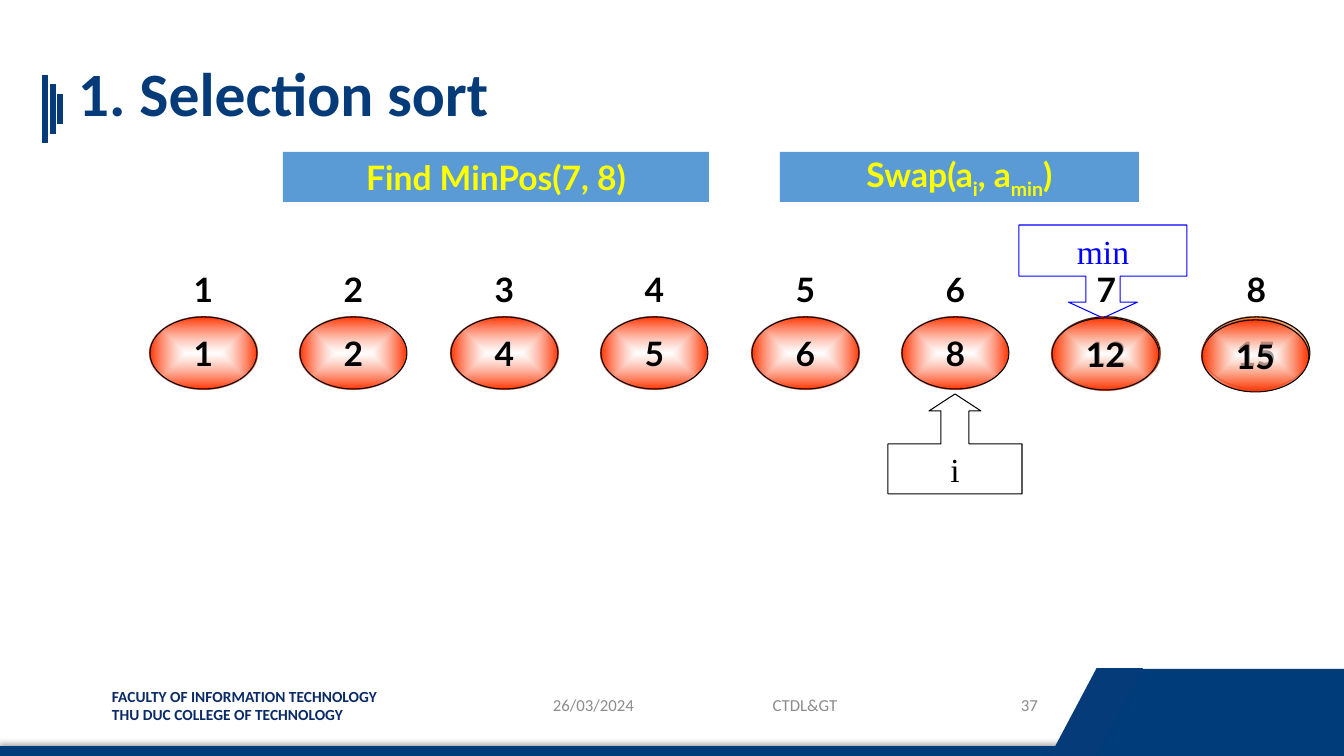
from pptx import Presentation
from pptx.dml.color import RGBColor
from pptx.enum.shapes import MSO_CONNECTOR as Connector, MSO_SHAPE as Shape
from pptx.enum.text import MSO_ANCHOR as Anchor, PP_ALIGN as Align
from pptx.oxml import parse_xml
from pptx.oxml.ns import nsdecls
from pptx.util import Pt

PX = 914400 / 100.8
COLORS = {
    "navy": "063B7A", "band": "003B7A", "faculty": "092A67", "grey": "8C8C8C",
    "label": "5B9BD5", "yellow": "FFFF00", "red": "FF3300", "orange": "ED7D31",
    "white": "FFFFFF", "black": "000000", "blue": "0000FF",
}
NUMBER = {"size": Pt(24), "name": "Lato", "bold": True}
POINTER = {"size": Pt(24), "name": "Times New Roman"}
TITLE = {"size": Pt(44), "name": "Calibri", "bold": True}
FACULTY = {"size": Pt(11), "name": "Calibri", "bold": True}
FOOTER = {"size": Pt(12), "name": "Calibri"}

VALUES = [1, 2, 4, 5, 6, 8, 12, 15]
NODE_WIDTH, NODE_HEIGHT = 107, 72


def emu(*lengths):
    return [round(length * PX) for length in lengths]


def rgb(name):
    return RGBColor.from_string(COLORS[name])


def write(shape, lines, style, color, align=Align.CENTER, anchor=Anchor.MIDDLE,
          margins=(10, 5), wrap=True):
    """Fill a shape with lines, each a list of (text, is_subscript) spans."""
    frame = shape.text_frame
    frame.word_wrap = wrap
    frame.vertical_anchor = anchor
    side, top = emu(*margins)
    frame.margin_left = frame.margin_right = side
    frame.margin_top = frame.margin_bottom = top
    for index, spans in enumerate(lines):
        para = frame.add_paragraph() if index else frame.paragraphs[0]
        para.alignment = align
        for text, subscript in spans:
            span = para.add_run()
            span.text = text
            for key, value in style.items():
                setattr(span.font, key, value)
            span.font.color.rgb = rgb(color)
            if subscript:
                span.font._element.set("baseline", "-25000")
    return frame


def add_box(shapes, kind, box, fill=None, line=None, adjustments=()):
    shape = shapes.add_shape(kind, *emu(*box))
    shape.shadow.inherit = False
    for index, value in enumerate(adjustments):
        shape.adjustments[index] = value
    if fill:
        shape.fill.solid()
        shape.fill.fore_color.rgb = rgb(fill)
    else:
        shape.fill.background()
    if line:
        shape.line.color.rgb = rgb(line)
        shape.line.width = Pt(0.75)
    else:
        shape.line.fill.background()
    return shape


def add_text(page, box, lines, style, color, **layout):
    shape = page.shapes.add_textbox(*emu(*box))
    return write(shape, [[(line, False)] for line in lines], style, color, **layout)


def glow(shape, edge):
    """Shade a shape from a translucent white centre to its edge colour."""
    shape.fill.gradient()
    properties = shape.element.spPr
    old = properties.find("{*}gradFill")
    properties.replace(old, parse_xml(
        f'<a:gradFill rotWithShape="1" {nsdecls("a")}><a:gsLst>'
        f'<a:gs pos="0"><a:srgbClr val="{COLORS["white"]}"><a:alpha val="60000"/></a:srgbClr></a:gs>'
        f'<a:gs pos="100000"><a:srgbClr val="{COLORS[edge]}"/></a:gs></a:gsLst>'
        '<a:path path="shape"><a:fillToRect l="50000" t="50000" r="50000" b="50000"/></a:path>'
        '</a:gradFill>'))


def add_node(shapes, left, top, number, edge=None):
    """Place a numbered oval, plain when it has no edge colour."""
    node = add_box(shapes, Shape.OVAL, (left, top, NODE_WIDTH, NODE_HEIGHT),
                   line="black" if edge else None)
    if edge:
        glow(node, edge)
    write(node, [[(str(number), False)]], NUMBER, "black", margins=(0, 0), wrap=False)


def add_backdrop(page, width, height):
    band = add_box(page.shapes, Shape.RECTANGLE, (0, height - 9, width, 9), "band", "band")
    band.line.width = Pt(1)
    band.element.spPr.find("{*}effectLst").append(parse_xml(
        f'<a:outerShdw {nsdecls("a")} blurRad="50800" dist="25400" dir="16200000">'
        f'<a:srgbClr val="{COLORS["black"]}"><a:alpha val="40000"/></a:srgbClr></a:outerShdw>'))
    add_box(page.shapes, Shape.RECTANGLE, (width - 243, height - 87, 243, 87), "band")
    add_box(page.shapes, Shape.PARALLELOGRAM, (width - 294, height - 88, 93, 88),
            "navy", adjustments=[0.53])


def add_heading(page, left, top, text):
    for x, start, end in [(0, 25, 93), (8, 34, 84), (15, 44, 74)]:
        bar = page.shapes.add_connector(
            Connector.STRAIGHT, *emu(left + x, top + start, left + x, top + end))
        bar.line.color.rgb = rgb("navy")
        bar.line.width = Pt(4.5)
        bar.element.spPr.append(parse_xml(f'<a:effectLst {nsdecls("a")}/>'))
    frame = add_text(page, (left + 23, top, 1210, 94), [text], TITLE, "navy", align=Align.LEFT)
    frame.paragraphs[0].line_spacing = 0.9


def add_array(page, left, top, width):
    """Draw the array with its indices, pointers and the two swapped nodes."""
    step = (width - NODE_WIDTH) / (len(VALUES) - 1)
    lefts = [round(left + step * index) for index in range(len(VALUES))]
    for index, (x, value) in enumerate(zip(lefts, VALUES)):
        add_node(page.shapes, x, top, value, "red" if index < 6 else "orange")

    pointers = [
        (Shape.UP_ARROW_CALLOUT, (lefts[5] - 14, top + 77, 134, 100),
         [0.28, 0.26, 0.17, 0.5], "i", "black"),
        (Shape.DOWN_ARROW_CALLOUT, (lefts[6] - 34, top - 92, 168, 93),
         [0.37, 0.37, 0.17, 0.55], "min", "blue"),
    ]
    for kind, box, adjustments, text, color in pointers:
        callout = add_box(page.shapes, kind, box, line=color, adjustments=adjustments)
        write(callout, [[(text, False)]], POINTER, color)

    indices = page.shapes.add_group_shape().shapes
    for number, x in enumerate(lefts, 1):
        add_node(indices, x, top - 64, number)
    for index, drop in [(6, 1), (7, 3)]:
        add_node(page.shapes, lefts[index] - 1, top + drop, VALUES[index], "red")


def add_steps(page, top):
    steps = [
        (283, 426, [("Find MinPos(7, 8)", False)]),
        (780, 359, [("Swap(a", False), ("i", True), (", a", False), ("min", True), (")", False)]),
    ]
    for left, width, spans in steps:
        label = add_box(page.shapes, Shape.RECTANGLE, (left, top, width, 50), "label")
        write(label, [spans], NUMBER, "yellow")


def add_footer(page, top):
    add_text(page, (102, top, 308, 47),
             ["FACULTY OF INFORMATION TECHNOLOGY", "THU DUC COLLEGE OF TECHNOLOGY"],
             FACULTY, "faculty", align=Align.LEFT, anchor=Anchor.TOP)
    for left, width, text, align in [
        (543, 135, "26/03/2024", Align.LEFT),
        (702, 206, "CTDL&GT", Align.CENTER),
        (931, 117, "37", Align.RIGHT),
    ]:
        add_text(page, (left, top + 3, width, 40), [text], FOOTER, "grey", align=align)


def main():
    width, height = 1344, 756
    deck = Presentation()
    deck.slide_width, deck.slide_height = emu(width, height)
    page = deck.slides.add_slide(deck.slide_layouts[6])
    add_backdrop(page, width, height)
    add_heading(page, 45, 50, "1. Selection sort")
    add_array(page, 150, 317, 1160)
    add_steps(page, 152)
    add_footer(page, 682)
    deck.save("out.pptx")


if __name__ == "__main__":
    main()
